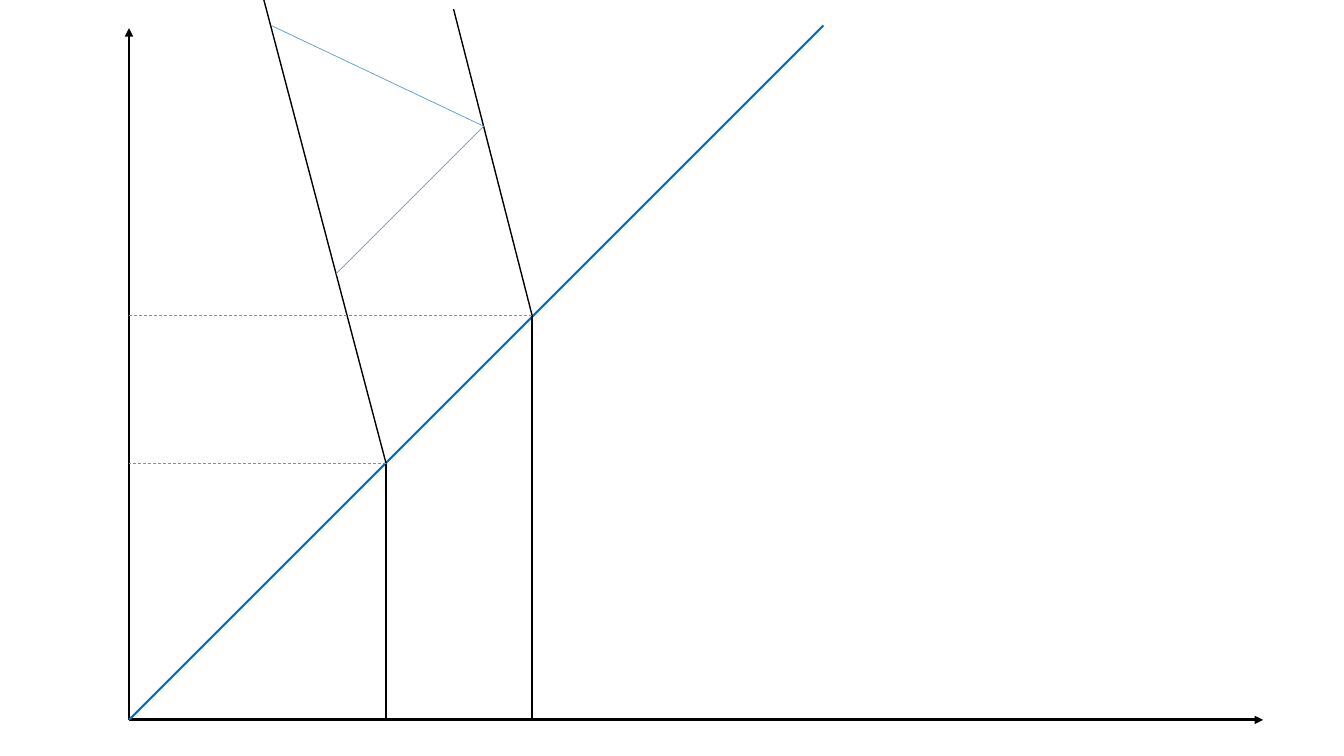
from dataclasses import dataclass
from typing import NamedTuple

from lxml import etree
from pptx import Presentation
from pptx import util as u
from pptx.dml import color
from pptx.enum import dml, shapes
from pptx.oxml import ns


@dataclass(frozen=True)
class Theme:
    black: str = "000000"
    blue: str = "0070C0"
    light_blue: str = "5B9BD5"
    axis: float = 2
    diagonal: float = 1.5
    solid: float = 1
    thin: float = 0.5


class Point(NamedTuple):
    x: float  # cm
    y: float  # cm


@dataclass(frozen=True)
class Line:
    start: Point
    end: Point
    color: str
    width: float
    dashed: bool = False
    arrow: bool = False


class Branch(NamedTuple):
    corner: Point  # where the branch leaves the diagonal
    top: Point


def draw_line(s, line: Line) -> None:
    c = s.shapes.add_connector(
        shapes.MSO_CONNECTOR.STRAIGHT, *(u.Cm(v) for v in line.start + line.end)
    )
    c.line.color.rgb = color.RGBColor.from_string(line.color)
    c.line.width = u.Pt(line.width)
    if line.dashed:
        c.line.dash_style = dml.MSO_LINE.DASH
    if line.arrow:
        etree.SubElement(c.line._get_or_add_ln(), ns.qn("a:tailEnd"), type="triangle")
    etree.SubElement(c._element.spPr, ns.qn("a:effectLst"))


theme = Theme()
prs = Presentation()
prs.slide_width, prs.slide_height = u.Cm(33.87), u.Cm(19.05)
s = prs.slides.add_slide(prs.slide_layouts[6])

origin = Point(3.25, 18.14)
branches = [
    Branch(Point(9.73, 11.68), Point(6.65, 0)),
    Branch(Point(13.41, 7.95), Point(11.43, 0.23)),
]

# Axes and diagonal
lines = [
    Line(origin, Point(origin.x, 0.71), theme.black, theme.axis, arrow=True),
    Line(origin, Point(31.83, origin.y), theme.black, theme.axis, arrow=True),
    Line(origin, Point(20.75, 0.64), theme.blue, theme.diagonal),
]

# Verticals up to the diagonal, then the slanted branches
lines += [
    Line(Point(b.corner.x, origin.y), b.corner, theme.black, theme.solid)
    for b in branches
]
lines += [Line(b.corner, b.top, theme.black, theme.solid) for b in branches]

# Dashed levels back to the vertical axis
lines += [
    Line(b.corner, Point(origin.x, b.corner.y), theme.light_blue, theme.thin, dashed=True)
    for b in branches
]

# Zigzag between the branches
zigzag = [Point(8.46, 6.91), Point(12.19, 3.18), Point(6.83, 0.64)]
lines += [
    Line(start, end, theme.light_blue, theme.thin)
    for start, end in zip(zigzag, zigzag[1:])
]

for line in lines:
    draw_line(s, line)

prs.save("out.pptx")
